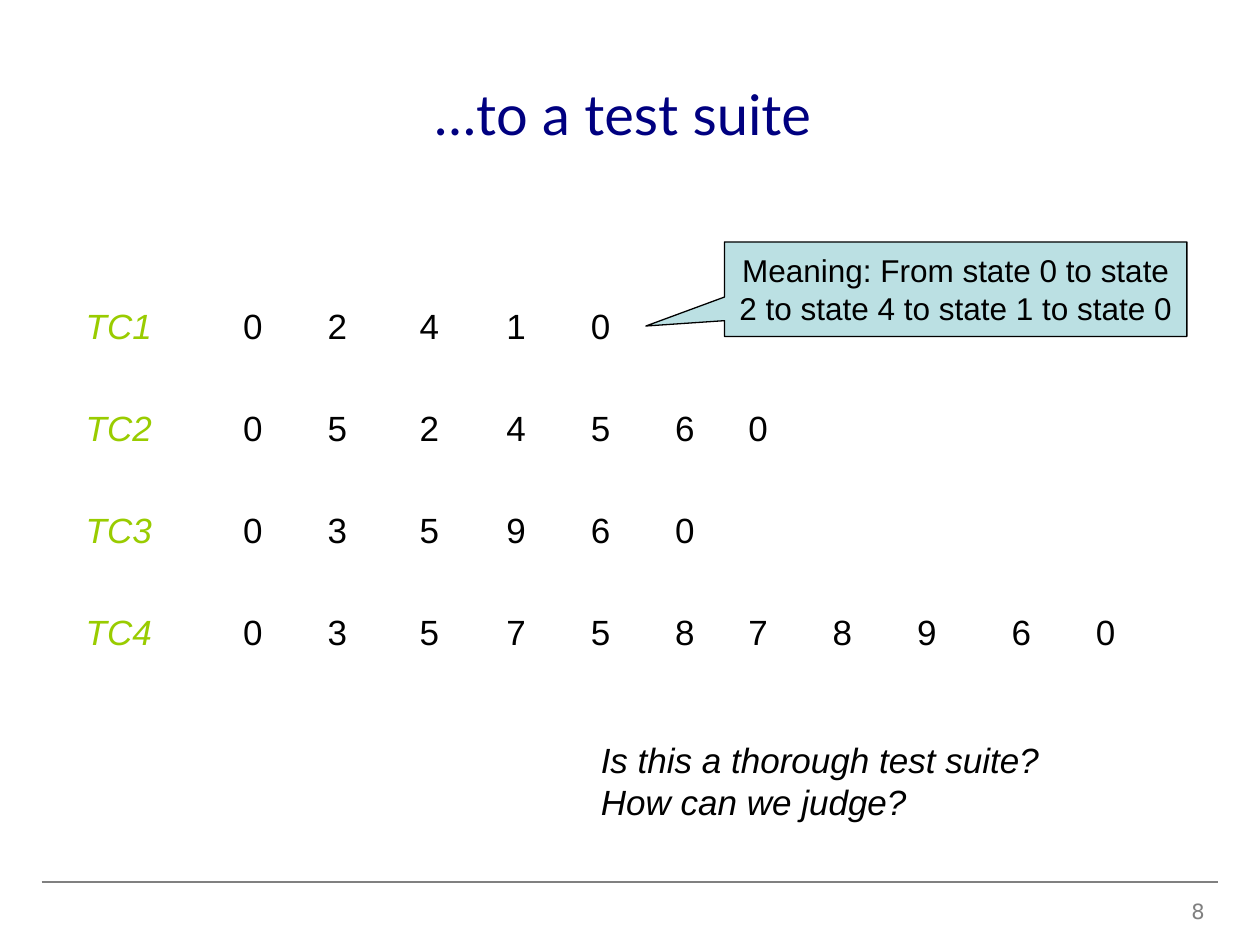
from lxml.etree import SubElement
from pptx import Presentation
from pptx.dml.color import RGBColor
from pptx.enum.shapes import MSO_CONNECTOR, MSO_SHAPE
from pptx.enum.text import MSO_ANCHOR, MSO_AUTO_SIZE, PP_ALIGN
from pptx.oxml import parse_xml
from pptx.oxml.ns import nsdecls, qn
from pptx.util import Inches, Pt

COLORS = {"navy": "000080", "green": "99CC00", "black": "000000",
          "gray": "808080", "callout": "BBE0E3", "border": "FFFFFF"}


def rgb(name):
    return RGBColor.from_string(COLORS[name])


def write(tf, lines, size, color, font="Arial", align=PP_ALIGN.LEFT, italic=False):
    for i, line in enumerate(lines):
        p = tf.add_paragraph() if i else tf.paragraphs[0]
        p.text = line
        p.alignment = align
        p.font.name = font
        p.font.size = Pt(size)
        p.font.italic = italic
        p.font.color.rgb = rgb(color)


prs = Presentation()
prs.slide_width, prs.slide_height = Inches(10), Inches(7.5)
s = prs.slides.add_slide(prs.slide_layouts[6])

rule = s.shapes.add_connector(MSO_CONNECTOR.STRAIGHT, Inches(0.33), Inches(7), Inches(9.67), Inches(7))
rule.line.color.rgb = rgb("gray")
rule.line.width = Pt(0.75)
SubElement(rule._element.spPr, qn("a:effectLst"))

title = s.shapes.add_textbox(Inches(0.5), Inches(0.3), Inches(9), Inches(1.2))
tf = title.text_frame
tf.word_wrap = True
tf.vertical_anchor = MSO_ANCHOR.MIDDLE
write(tf, ["…to a test suite "], 32, "navy", "Lato", PP_ALIGN.CENTER)

test_cases = {"TC1": "02410", "TC2": "0524560", "TC3": "035960", "TC4": "03575878960"}
col_widths = [1.25, 0.67, 0.73, 0.69, 0.67, 0.67, 0.58, 0.67, 0.67, 0.75, 0.67, 0.67]
row_heights = [0.81, 0.81, 0.81, 0.9]
table = s.shapes.add_table(len(row_heights), len(col_widths), Inches(0.58), Inches(2.39),
                           Inches(8.67), Inches(3.32)).table
table.first_row = table.horz_banding = False
for col, width in zip(table.columns, col_widths):
    col.width = Inches(width)
for row, height, (name, states) in zip(table.rows, row_heights, test_cases.items()):
    row.height = Inches(height)
    texts = [name, *states]
    for i, cell in enumerate(row.cells):
        if i < len(texts):
            write(cell.text_frame, [texts[i]], 20, "black" if i else "green", italic=i == 0)
        tcPr = cell._tc.get_or_add_tcPr()
        for side in ("lnL", "lnR", "lnT", "lnB"):
            tcPr.append(parse_xml(
                f'<a:{side} {nsdecls("a")} w="{Pt(0.45)}"><a:solidFill>'
                f'<a:srgbClr val="{COLORS["border"]}"/></a:solidFill></a:{side}>'))
        cell.fill.background()

callout = s.shapes.add_shape(MSO_SHAPE.RECTANGULAR_CALLOUT, Inches(5.75), Inches(1.92),
                             Inches(3.67), Inches(0.75))
callout.shadow.inherit = False
callout.adjustments[0] = -0.67
callout.adjustments[1] = 0.39
callout.fill.solid()
callout.fill.fore_color.rgb = rgb("callout")
callout.line.color.rgb = rgb("black")
callout.line.width = Pt(0.75)
tf = callout.text_frame
tf.word_wrap = True
tf.vertical_anchor = MSO_ANCHOR.MIDDLE
write(tf, ["Meaning: From state 0 to state 2 to state 4 to state 1 to state 0"], 18, "black",
      align=PP_ALIGN.CENTER)

question = s.shapes.add_textbox(Inches(4.67), Inches(5.81), Inches(3.76), Inches(0.77))
tf = question.text_frame
tf.word_wrap = False
tf.auto_size = MSO_AUTO_SIZE.SHAPE_TO_FIT_TEXT
write(tf, ["Is this a thorough test suite?", "How can we judge?"], 20, "black", italic=True)

number = s.shapes.add_textbox(Inches(7.33), Inches(7.08), Inches(2.33), Inches(0.27))
tf = number.text_frame
tf.word_wrap = True
write(tf, ["8"], 12, "gray", "DejaVu Sans", PP_ALIGN.RIGHT)

prs.save("out.pptx")
